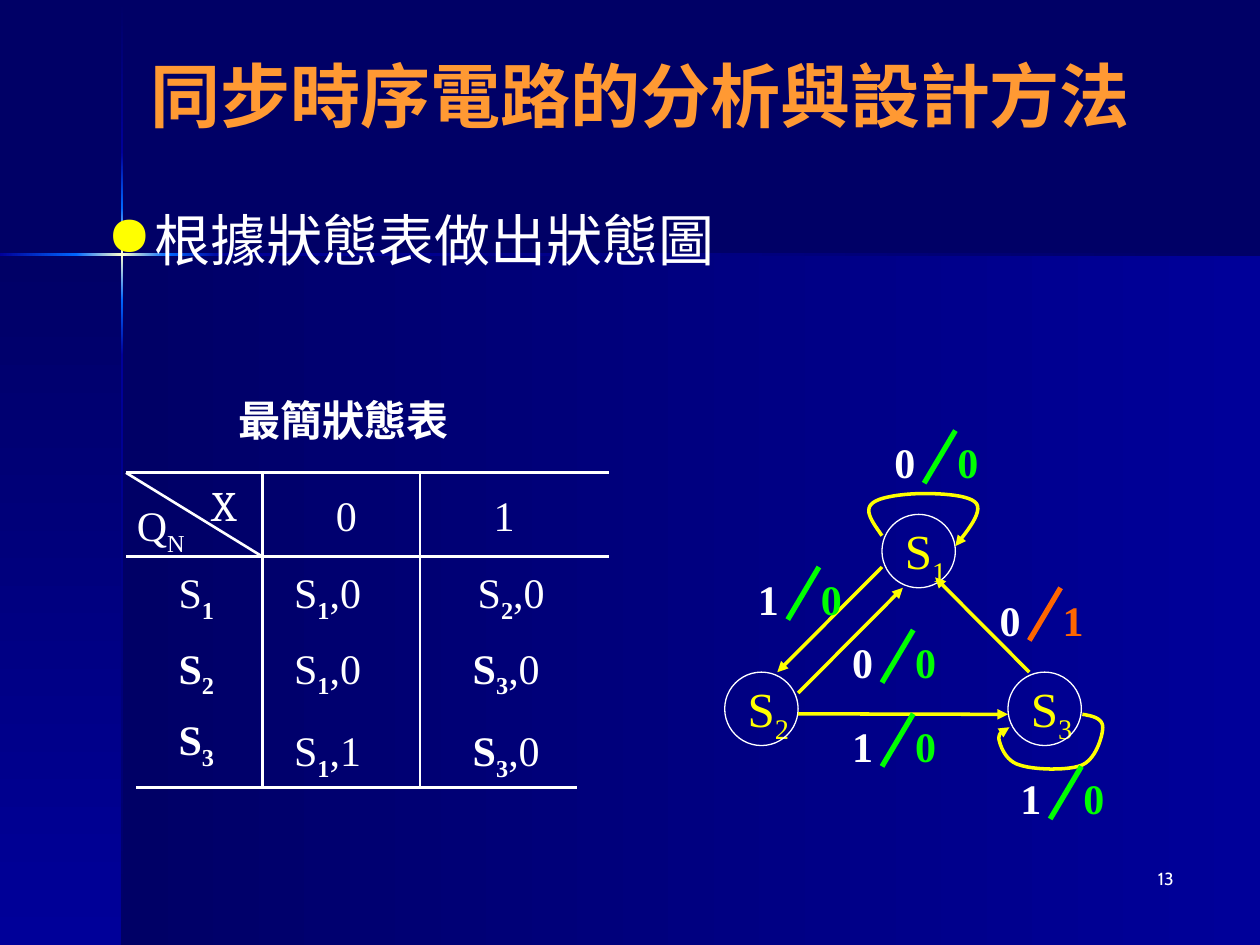
from lxml import etree
from pptx import Presentation
from pptx import util as u
from pptx.dml.color import RGBColor
from pptx.enum import shapes, text
from pptx.oxml import ns

NAVY = RGBColor(0x00, 0x00, 0x66)
BLUE = RGBColor(0x00, 0x00, 0x99)
BRIGHT = RGBColor(0x00, 0x66, 0xFF)
CREAM = RGBColor(0xFF, 0xFF, 0xCC)
WHITE = RGBColor(0xFF, 0xFF, 0xFF)
YELLOW = RGBColor(0xFF, 0xFF, 0x00)
GREEN = RGBColor(0x00, 0xFF, 0x00)
RED = RGBColor(0xFF, 0x66, 0x00)
ORANGE = RGBColor(0xFF, 0x99, 0x33)
SANS, SERIF, MATH = "Cabin", "Times New Roman", "Cambria"
INSET = (0.25, 0.13)


def sub(parent, tag, **attrs):
    return etree.SubElement(parent, ns.qn(tag), **attrs)


class Deck:
    def __init__(self):
        self.prs = Presentation()
        self.prs.slide_width, self.prs.slide_height = u.Cm(25.4), u.Cm(19.05)
        self.s = self.prs.slides.add_slide(self.prs.slide_layouts[5])
        fill = self.s.background.fill
        fill.solid()
        fill.fore_color.rgb = NAVY

    def gradient(self, x, y, w, h, colors, vertical):
        sp = self.s.shapes.add_shape(
            shapes.MSO_SHAPE.RECTANGLE, u.Cm(x), u.Cm(y), u.Cm(w), u.Cm(h))
        sp.shadow.inherit = False
        sp.line.fill.background()
        sp.fill.gradient()
        sp.fill.gradient_angle = 270 if vertical else 0
        stops = sp.element.spPr.find(".//" + ns.qn("a:gsLst"))
        for stop in list(stops):
            stops.remove(stop)
        for i, color in enumerate(colors):
            stop = sub(stops, "a:gs", pos=str(100000 * i // (len(colors) - 1)))
            sub(stop, "a:srgbClr", val=str(color))

    def title(self, x, y, w, h, words):
        sp = self.s.shapes.title
        sp.left, sp.top, sp.width, sp.height = u.Cm(x), u.Cm(y), u.Cm(w), u.Cm(h)
        self.s.shapes._spTree.append(sp.element)
        tf = sp.text_frame
        tf.text = words
        tf.vertical_anchor = text.MSO_ANCHOR.MIDDLE
        p = tf.paragraphs[0]
        p.alignment = text.PP_ALIGN.CENTER
        self.font(p.runs[0], 40, ORANGE, True, SANS)

    def font(self, r, size, color, bold, name):
        r.font.size, r.font.bold, r.font.name = u.Pt(size), bold, name
        r.font.color.rgb = color

    def text(self, x, y, w, h, words, size=24, color=WHITE, bold=False,
             name=SERIF, inset=INSET, wrap=True):
        tf = self.s.shapes.add_textbox(u.Cm(x), u.Cm(y), u.Cm(w), u.Cm(h)).text_frame
        tf.word_wrap = wrap
        tf.margin_left = tf.margin_right = u.Cm(inset[0])
        tf.margin_top = tf.margin_bottom = u.Cm(inset[1])
        p = tf.paragraphs[0]
        p.text = words
        self.font(p.runs[0], size, color, bold, name)
        return p

    def symbol(self, x, y, w, h, letter, index, tail="", size=24, color=WHITE,
               bold=False, index_bold=False, inset=(0, 0)):
        p = self.text(x, y, w, h, letter, size, color, bold, inset=inset)
        r = p.add_run()
        r.text = index
        self.font(r, size, color, index_bold, SERIF)
        r._r.get_or_add_rPr().set("baseline", "-25000")
        if tail:
            r = p.add_run()
            r.text = tail
            self.font(r, size, color, False, SERIF)

    def bullet(self, x, y, w, h, words):
        p = self.text(x, y, w, h, words, 32, WHITE, False, SANS)
        pPr = p._p.get_or_add_pPr()
        pPr.set("marL", str(u.Cm(0.95)))
        pPr.set("indent", str(-u.Cm(0.95)))
        sub(sub(pPr, "a:buClr"), "a:srgbClr", val=str(YELLOW))
        sub(pPr, "a:buChar", char="●")

    def stroke(self, sp, color, width, arrow):
        sp.line.color.rgb = color
        sp.line.width = u.Pt(width)
        if arrow:
            sub(sp.element.spPr.find(ns.qn("a:ln")), "a:tailEnd", type="triangle")

    def line(self, x1, y1, x2, y2, color=WHITE, width=1.5, arrow=False):
        c = self.s.shapes.add_connector(
            shapes.MSO_CONNECTOR.STRAIGHT, u.Cm(x1), u.Cm(y1), u.Cm(x2), u.Cm(y2))
        self.stroke(c, color, width, arrow)
        sub(c.element.spPr, "a:effectLst")

    def loop(self, start, *curves):
        points, a = [], start
        for b, c, d in curves:
            for i in range(1, 13):
                t = i / 12
                points.append(tuple(
                    u.Cm((1 - t) ** 3 * k + 3 * t * (1 - t) ** 2 * l
                         + 3 * t * t * (1 - t) * m + t ** 3 * n)
                    for k, l, m, n in zip(a, b, c, d)))
            a = d
        builder = self.s.shapes.build_freeform(u.Cm(start[0]), u.Cm(start[1]))
        builder.add_line_segments(points, close=False)
        sp = builder.convert_to_shape()
        sp.shadow.inherit = False
        sp.fill.background()
        self.stroke(sp, YELLOW, 2, True)

    def state(self, x, y, index):
        self.symbol(x + 0.21, y, 1.91, 1.45, "S", index, size=28, color=YELLOW,
                    inset=INSET)
        sp = self.s.shapes.add_shape(
            shapes.MSO_SHAPE.OVAL, u.Cm(x), u.Cm(y), u.Cm(1.48), u.Cm(1.48))
        sp.shadow.inherit = False
        sp.fill.background()
        self.stroke(sp, WHITE, 0.75, False)

    def label(self, x, y, given, result, color=GREEN):
        self.text(x, y, 1.06, 1.27, given, bold=True)
        self.text(x + 1.27, y, 1.06, 1.27, result, color=color, bold=True)
        self.line(x + 1.48, y, x + 0.85, y + 1.06, color, 3)


def draw_backdrop(deck):
    deck.gradient(2.46, 5.13, 22.94, 13.92, (NAVY, BLUE), False)
    deck.gradient(0, 5.13, 2.46, 13.92, (NAVY, BLUE), True)
    glow = (BRIGHT, CREAM, BRIGHT)
    for y, h, colors in ((0.03, 3.04, (NAVY, BLUE)), (7.16, 11.89, (BLUE, NAVY)),
                         (6.05, 1.11, (BRIGHT, BLUE)), (3.07, 1.12, (BLUE, BRIGHT)),
                         (4.19, 1.86, glow)):
        deck.gradient(2.44, y, 0.05, h, colors, True)
    for x, w, colors in ((4.5, 20.9, (BLUE, NAVY)), (0, 1.55, (BLUE, BRIGHT)),
                         (3.38, 1.12, (BRIGHT, BLUE)), (1.53, 1.85, glow)):
        deck.gradient(x, 5.11, w, 0.05, colors, False)


def draw_state_table(deck):
    deck.text(4.55, 7.82, 4.78, 1.27, "最簡狀態表", bold=True, wrap=False)
    top, head, bottom, left, right = 9.53, 11.22, 15.88, 2.54, 12.28
    for y in (top, head):
        deck.line(left, y, right, y)
    for x in (5.29, 8.47):
        deck.line(x, top, x, bottom)
    deck.line(left, top, 5.29, head)
    deck.line(2.75, bottom, 11.64, bottom)
    deck.symbol(2.76, 9.95, 1.91, 1.27, "Q", "N", inset=(0, 0.13))
    deck.text(4.02, 9.53, 0.85, 1.27, "X", name=MATH)
    for x, words in ((6.77, "0"), (9.95, "1")):
        deck.text(x, 9.74, 0.85, 1.27, words, inset=(0, 0.13))
    cells = (
        (3.6, 11.43, "1", "", False), (5.93, 11.43, "1", ",0", False),
        (9.63, 11.43, "2", ",0", False),
        (3.6, 12.95, "2", "", True), (5.93, 12.95, "1", ",0", False),
        (9.53, 12.95, "3", ",0", True),
        (3.6, 14.39, "3", "", True), (5.93, 14.61, "1", ",1", False),
        (9.53, 14.61, "3", ",0", True),
    )
    for x, y, index, output, bold in cells:
        deck.symbol(x, y, 1.8 if output else 1.06, 1.02, "S", index, output,
                    bold=bold, index_bold=True)


def draw_state_diagram(deck):
    for x, y, index in ((17.78, 10.37, "1"), (14.61, 13.55, "2"), (20.32, 13.55, "3")):
        deck.state(x, y, index)
    deck.loop((17.78, 10.8),
              ((17.6, 10.54), (17.42, 10.31), (17.57, 10.16)),
              ((17.71, 10.01), (18.26, 9.95), (18.63, 9.95)),
              ((18.98, 9.95), (19.58, 9.98), (19.69, 10.16)),
              ((19.79, 10.34), (19.53, 10.67), (19.26, 11.01)))
    deck.loop((21.82, 14.4),
              ((22.02, 14.43), (22.23, 14.48), (22.23, 14.66)),
              ((22.23, 14.83), (22.1, 15.29), (21.82, 15.42)),
              ((21.54, 15.54), (20.83, 15.52), (20.55, 15.42)),
              ((20.27, 15.34), (20.17, 15.04), (20.14, 14.91)),
              ((20.12, 14.78), (20.22, 14.71), (20.35, 14.66)))
    for ends in ((17.78, 11.43, 15.67, 13.55), (16.09, 13.97, 18.2, 11.85),
                 (16.09, 14.39, 20.32, 14.4), (20.75, 13.55, 18.85, 11.64)):
        deck.line(*ends, YELLOW, 2, True)
    for x, y, given, result, color in (
            (17.78, 8.68, "0", "0", GREEN), (15.03, 11.43, "1", "0", GREEN),
            (16.93, 12.7, "0", "0", GREEN), (16.93, 14.39, "1", "0", GREEN),
            (19.9, 11.85, "0", "1", RED), (20.32, 15.45, "1", "0", GREEN)):
        deck.label(x, y, given, result, color)


def main():
    deck = Deck()
    draw_backdrop(deck)
    p = deck.text(18.63, 17.36, 5.28, 1.27, "13", 10, name=SANS)
    p.alignment = text.PP_ALIGN.RIGHT
    deck.title(1.27, 0.85, 23.28, 2.12, "同步時序電路的分析與設計方法")
    deck.bullet(1.91, 4.02, 22.01, 12.91, "根據狀態表做出狀態圖")
    draw_state_table(deck)
    draw_state_diagram(deck)
    deck.prs.save("out.pptx")


if __name__ == "__main__":
    main()
